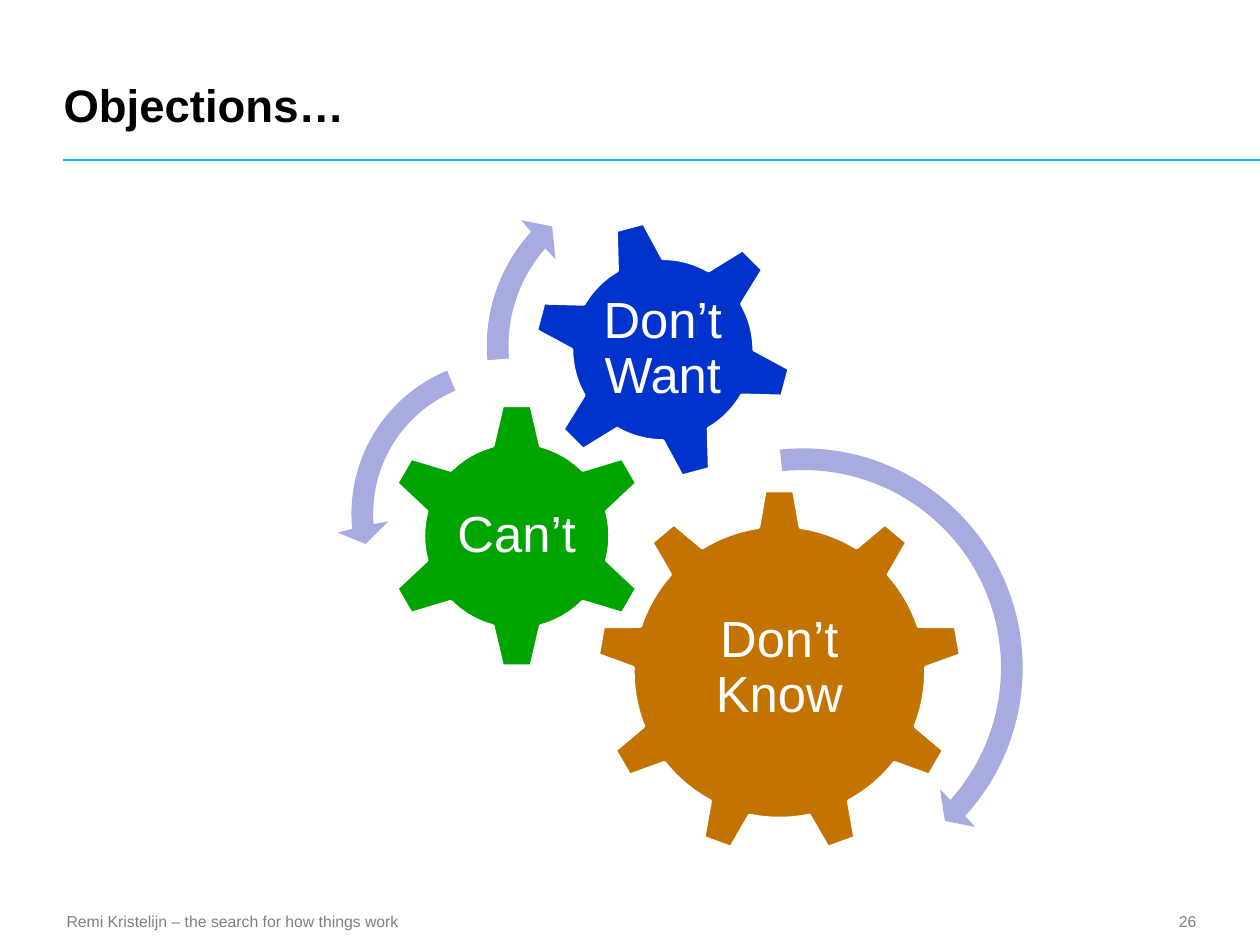
from math import atan2, ceil, cos, hypot, radians, sin, tan

from lxml import etree
from pptx import Presentation
from pptx import util as u
from pptx.dml.color import RGBColor
from pptx.enum import shapes, text
from pptx.oxml.ns import qn

Pt = u.Pt
FONT = "Arial"
COLORS = {
    "black": "000000", "grey": "7F7F7F", "white": "FFFFFF", "rule": "00BBEE",
    "orange": "C37400", "green": "00A400", "blue": "0033CC", "arrow": "A7ABE0",
}
ALIGN, ANCHOR = text.PP_ALIGN, text.MSO_ANCHOR


def rgb(name):
    return RGBColor.from_string(COLORS[name])


def add_text(s, box, words, size, color, align=ALIGN.LEFT, anchor=ANCHOR.MIDDLE,
             insets=(0, 0, 0, 0), bold=False, wrap=True, spacing=1.0):
    tf = s.shapes.add_textbox(*map(Pt, box)).text_frame
    left, top, right, bottom = map(Pt, insets)
    frame = dict(word_wrap=wrap, vertical_anchor=anchor, margin_left=left,
                 margin_top=top, margin_right=right, margin_bottom=bottom)
    for key, value in frame.items():
        setattr(tf, key, value)
    p = tf.paragraphs[0]
    p.alignment, p.line_spacing = align, spacing
    r = p.add_run()
    r.text = words
    for key, value in dict(name=FONT, size=Pt(size), bold=bold).items():
        setattr(r.font, key, value)
    r.font.color.rgb = rgb(color)


def polar(radius, angle):
    return radius * cos(angle), radius * sin(angle)


def arc(radius, start, end):
    """A line to the start of an arc, then the Bezier curves along it."""
    count = ceil(abs(end - start) / radians(75))
    step = (end - start) / count
    handle = radius * 4 / 3 * tan(step / 4)
    commands = [("lnTo", [polar(radius, start)])]
    for i in range(count):
        a, b = start + i * step, start + (i + 1) * step
        (x1, y1), (x2, y2) = polar(radius, a), polar(radius, b)
        commands.append(("cubicBezTo", [
            (x1 - handle * sin(a), y1 + handle * cos(a)),
            (x2 + handle * sin(b), y2 - handle * cos(b)),
            (x2, y2)]))
    return commands


def add_outline(s, center, side, commands, color, border=None):
    """Outline in a square box; command points are relative to its center."""
    cx, cy = center
    half = side / 2
    corners = [(Pt(cx + dx * half), Pt(cy + dy * half))
               for dx, dy in ((-1, -1), (1, -1), (1, 1), (-1, 1))]
    builder = s.shapes.build_freeform(*corners[0])
    builder.add_line_segments(corners[1:], close=True)
    sp = builder.convert_to_shape()
    path = sp._element.spPr.find(".//" + qn("a:path"))
    for child in list(path):
        path.remove(child)
    for i, (kind, points) in enumerate(commands):
        node = etree.SubElement(path, qn("a:" + (kind if i else "moveTo")))
        for x, y in points:
            etree.SubElement(node, qn("a:pt"), x=str(int(Pt(x + half))),
                             y=str(int(Pt(y + half))))
    etree.SubElement(path, qn("a:close"))
    sp.shadow.inherit = False
    sp.fill.solid()
    sp.fill.fore_color.rgb = rgb(color)
    if border:
        sp.line.color.rgb = rgb(border)
        sp.line.width = Pt(2)
    else:
        sp.line.fill.background()
    return sp


def add_gear(s, center, side, teeth, tip, root, color, label, label_size,
             rotation=0, label_rise=0):
    """tip and root each give a tooth's half width and its distance from the center."""
    pitch = radians(360 / teeth)
    body, half_angle = hypot(*root), atan2(*root)
    commands = []
    for i in range(teeth):
        a = i * pitch - radians(90)
        for width in (-tip[0], tip[0]):
            x, y = polar(tip[1], a)
            commands.append(("lnTo", [(x - width * sin(a), y + width * cos(a))]))
        commands += arc(body, a + half_angle, a + pitch - half_angle)
    add_outline(s, center, side, commands, color, "white").rotation = rotation

    cx, cy = center
    w, h = label_size
    add_text(s, (cx - w / 2, cy - label_rise - h / 2, w, h), label, 29, "white",
             ALIGN.CENTER, insets=(2.9,) * 4, spacing=0.9)


def add_arc_arrow(s, center, side, radius, start, neck, tip, skew):
    """Curved arrow; angles in degrees, skew tilts the base of the head."""
    shaft, head = 6.2, 14.7

    def base(offset):
        return radians(neck + skew * offset / head)

    commands = arc(radius + shaft, radians(start), base(shaft))
    commands += [("lnTo", [polar(r, a)]) for r, a in (
        (radius + head, base(head)), (radius, radians(tip)),
        (radius - head, base(-head)))]
    commands += arc(radius - shaft, base(-shaft), radians(start))
    add_outline(s, center, side, commands, "arrow")


def add_header(s, box):
    left, top, width, height = box
    add_text(s, (left + 0.3, top, width, 61.5), "Objections…", 26, "black",
             anchor=ANCHOR.BOTTOM, bold=True)
    y = top + height
    line = s.shapes.add_connector(shapes.MSO_CONNECTOR.STRAIGHT,
                                  Pt(left), Pt(y), Pt(720), Pt(y))
    line.line.color.rgb = rgb("rule")
    line.line.width = Pt(1)
    etree.SubElement(line._element.spPr, qn("a:effectLst"))


def add_footer(s, box):
    left, top, width, height = box
    add_text(s, (left, top, 202.3, height),
             "Remi Kristelijn – the search for how things work", 9, "grey",
             ALIGN.CENTER, ANCHOR.TOP, (0, 3.6, 7.2, 3.6), wrap=False)
    add_text(s, (left + width - 42.5, top - 0.8, 42.5, 19.2), "26", 9, "grey",
             ALIGN.RIGHT)


def add_gears(s, box):
    left, top = box[:2]

    def at(x, y):
        return left + x, top + y

    add_gear(s, at(252.4, 258.1), 208.8, 9, (8.3, 103.7), (12, 82.8), "orange",
             "Don’t Know", (125.3, 107.3), label_rise=2)
    add_gear(s, at(102.3, 180.2), 151.9, 6, (8.3, 74.5), (13.7, 51.5), "green",
             "Can’t", (75.6, 74.9))
    add_gear(s, at(185.8, 73.8), 149, 6, (8.2, 72.7), (13.5, 50.4), "blue",
             "Don’t Want", (83.5, 83.5), rotation=-15)
    add_arc_arrow(s, at(266, 255.6), 267.1, 119.2, -96.1, 42.2, 47.2, 0.6)
    add_arc_arrow(s, at(96.4, 167.6), 194.4, 82.3, -112.5, -185.05, -192.1, -1.35)
    add_arc_arrow(s, at(181.8, 71.6), 209.5, 90.4, 175.1, 221.9, 229, 1.15)


def main():
    prs = Presentation()
    prs.slide_width, prs.slide_height = Pt(720), Pt(540)
    s = prs.slides.add_slide(prs.slide_layouts[6])
    add_footer(s, (35.2, 517.5, 648.5, 18))
    add_header(s, (36, 13.6, 646, 77.8))
    add_gears(s, (193, 126, 392, 359))
    prs.save("out.pptx")


if __name__ == "__main__":
    main()
